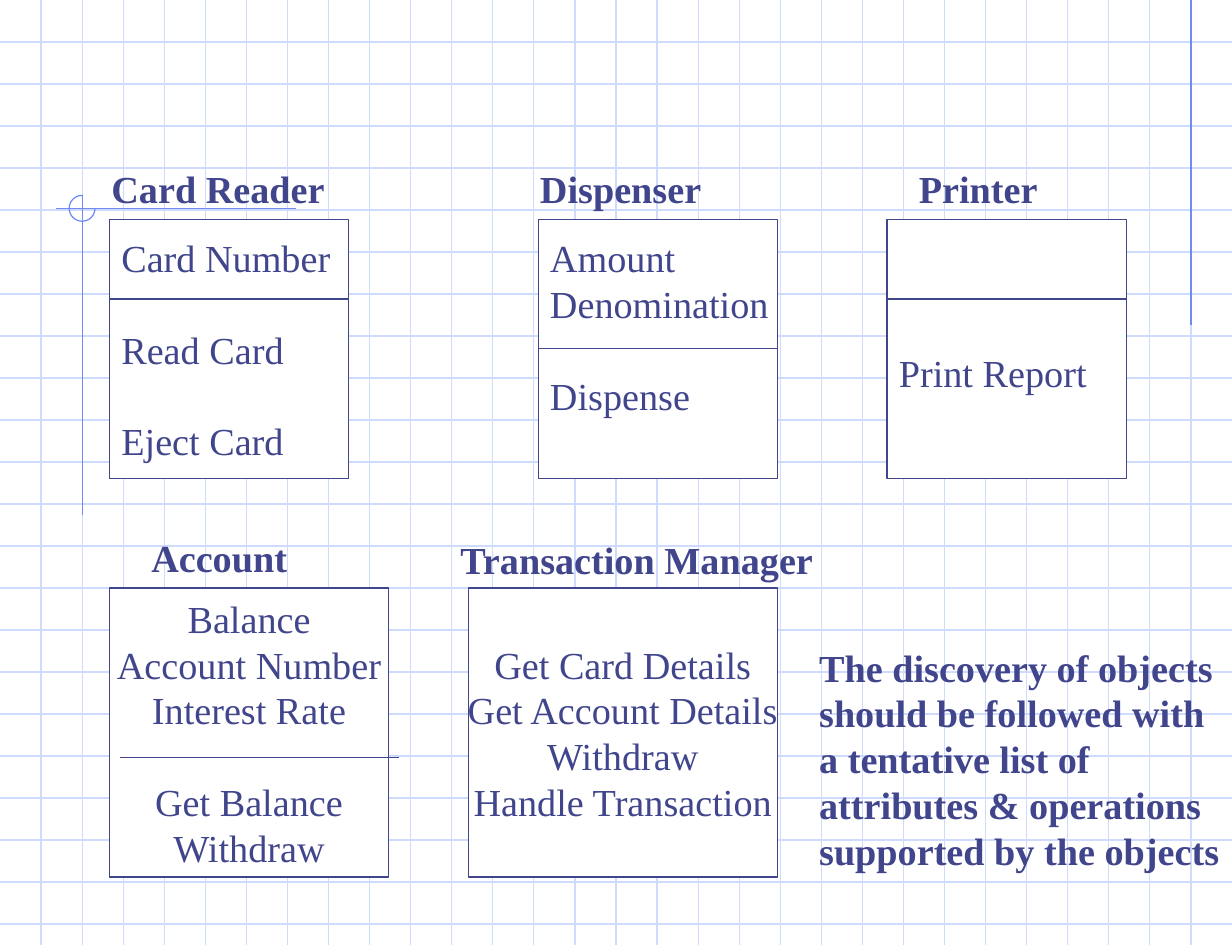
from dataclasses import dataclass
from typing import Optional

from lxml.etree import SubElement
from pptx import Presentation
from pptx.dml.color import RGBColor
from pptx.enum.shapes import MSO_CONNECTOR, MSO_SHAPE
from pptx.enum.text import MSO_ANCHOR, PP_ALIGN
from pptx.oxml.ns import qn
from pptx.shapes.autoshape import Shape
from pptx.slide import Slide
from pptx.text.text import TextFrame
from pptx.util import Pt


@dataclass(frozen=True)
class Theme:
    ink: RGBColor = RGBColor(0x40, 0x45, 0x8C)
    paper: RGBColor = RGBColor(0xFF, 0xFF, 0xFF)
    grid: RGBColor = RGBColor(0xCF, 0xDB, 0xFD)
    accent: RGBColor = RGBColor(0x6F, 0x89, 0xF7)
    font: str = "Times New Roman"
    size: float = 23
    leading: float = 27.6
    stroke: float = 0.75


@dataclass(frozen=True)
class Area:
    left: float
    top: float
    width: float
    height: float


@dataclass(frozen=True)
class Line:
    text: str
    blank_before: int = 0


@dataclass(frozen=True)
class ClassCard:
    title: str
    title_area: Area
    area: Area
    lines: tuple[Line, ...]
    divider: Optional[float] = None
    divider_shift: float = 0
    align: PP_ALIGN = PP_ALIGN.LEFT
    blank_above: int = 0
    blank_below: int = 0


THEME = Theme()
WIDTH, HEIGHT = 741.6, 568.8
COLUMN_PITCH, ROW_PITCH = 24.72, 25.28
COLUMNS, ROWS = 29, 22
MARK_X, MARK_Y, MARK_RADIUS = 49.44, 125.4, 7.8

CARDS = (
    ClassCard("Card Reader", Area(60, 96, 150, 35.2), Area(66, 132, 144, 156),
              (Line("Card Number"), Line("Read Card", 1), Line("Eject Card", 1)), 180),
    ClassCard("Dispenser", Area(318, 96, 150, 35.2), Area(324, 132, 144, 156),
              (Line("Amount"), Line("Denomination"), Line("Dispense", 1)), 210, blank_below=1),
    ClassCard("Printer", Area(546, 96, 150, 35.2), Area(534, 132, 144, 156),
              (Line("Print Report"),), 180, blank_above=1),
    ClassCard("Account", Area(84, 318, 114, 35.2), Area(66, 354, 168, 174),
              (Line("Balance"), Line("Account Number"), Line("Interest Rate"),
               Line("Get Balance", 1), Line("Withdraw")), 456, 6, PP_ALIGN.CENTER),
    ClassCard("Transaction Manager", Area(270, 319, 264, 35.2), Area(282, 354, 186, 174),
              (Line("Get Card Details"), Line("Get Account Details"),
               Line("Withdraw"), Line("Handle Transaction")), align=PP_ALIGN.CENTER),
)
NOTE = ("The discovery of objects should be followed with a tentative list of "
        "attributes & operations supported by the objects")


def draw_line(page: Slide, x1: float, y1: float, x2: float, y2: float, color: RGBColor) -> None:
    line = page.shapes.add_connector(MSO_CONNECTOR.STRAIGHT, Pt(x1), Pt(y1), Pt(x2), Pt(y2))
    line.line.color.rgb = color
    line.line.width = Pt(THEME.stroke)
    SubElement(line._element.spPr, qn("a:effectLst"))


def add_outlined(page: Slide, kind: MSO_SHAPE, area: Area, color: RGBColor) -> Shape:
    shape = page.shapes.add_shape(kind, Pt(area.left), Pt(area.top), Pt(area.width), Pt(area.height))
    shape.shadow.inherit = False
    shape.fill.background()
    shape.line.color.rgb = color
    shape.line.width = Pt(THEME.stroke)
    return shape


def write_lines(frame: TextFrame, lines: tuple[Line, ...], align: PP_ALIGN, bold: bool) -> None:
    for index, line in enumerate(lines):
        para = frame.paragraphs[0] if index == 0 else frame.add_paragraph()
        para.alignment = align
        para.line_spacing = Pt(THEME.leading)
        if line.blank_before:
            para.space_before = Pt(line.blank_before * THEME.leading)
        span = para.add_run()
        span.text = line.text
        span.font.name = THEME.font
        span.font.size = Pt(THEME.size)
        span.font.bold = bold
        span.font.color.rgb = THEME.ink


def add_bold_text(page: Slide, text: str, area: Area) -> None:
    box = page.shapes.add_textbox(Pt(area.left), Pt(area.top), Pt(area.width), Pt(area.height))
    box.text_frame.word_wrap = True
    write_lines(box.text_frame, (Line(text),), PP_ALIGN.LEFT, True)


def draw_background(page: Slide) -> None:
    for row in range(1, ROWS + 1):
        draw_line(page, 0, row * ROW_PITCH, WIDTH, row * ROW_PITCH, THEME.grid)
    for column in range(1, COLUMNS + 1):
        draw_line(page, column * COLUMN_PITCH, 0, column * COLUMN_PITCH, HEIGHT, THEME.grid)
    right_rule = COLUMNS * COLUMN_PITCH
    draw_line(page, right_rule, 0, right_rule, 195.8, THEME.accent)
    draw_line(page, 178.3, MARK_Y, 33.8, MARK_Y, THEME.accent)
    draw_line(page, MARK_X, MARK_Y - MARK_RADIUS, MARK_X, 310.3, THEME.accent)
    mark_area = Area(MARK_X - MARK_RADIUS, MARK_Y - MARK_RADIUS, 2 * MARK_RADIUS, 2 * MARK_RADIUS)
    mark = add_outlined(page, MSO_SHAPE.ARC, mark_area, THEME.accent)
    mark.adjustments[0] = 0
    mark.adjustments[1] = 162


def draw_card(page: Slide, card: ClassCard) -> None:
    area = card.area
    box = add_outlined(page, MSO_SHAPE.RECTANGLE, area, THEME.ink)
    box.fill.solid()
    box.fill.fore_color.rgb = THEME.paper
    frame = box.text_frame
    frame.word_wrap = False
    frame.vertical_anchor = MSO_ANCHOR.MIDDLE
    frame.margin_top = Pt(3.6 + card.blank_above * THEME.leading)
    frame.margin_bottom = Pt(3.6 + card.blank_below * THEME.leading)
    write_lines(frame, card.lines, card.align, False)
    add_bold_text(page, card.title, card.title_area)
    if card.divider is not None:
        start = area.left + card.divider_shift
        draw_line(page, start, card.divider, start + area.width, card.divider, THEME.ink)


def main() -> None:
    deck = Presentation()
    deck.slide_width, deck.slide_height = Pt(WIDTH), Pt(HEIGHT)
    page = deck.slides.add_slide(deck.slide_layouts[6])
    draw_background(page)
    for card in CARDS:
        draw_card(page, card)
    add_bold_text(page, NOTE, Area(486, 384, 255.6, 145.2))
    deck.save("out.pptx")


if __name__ == "__main__":
    main()
